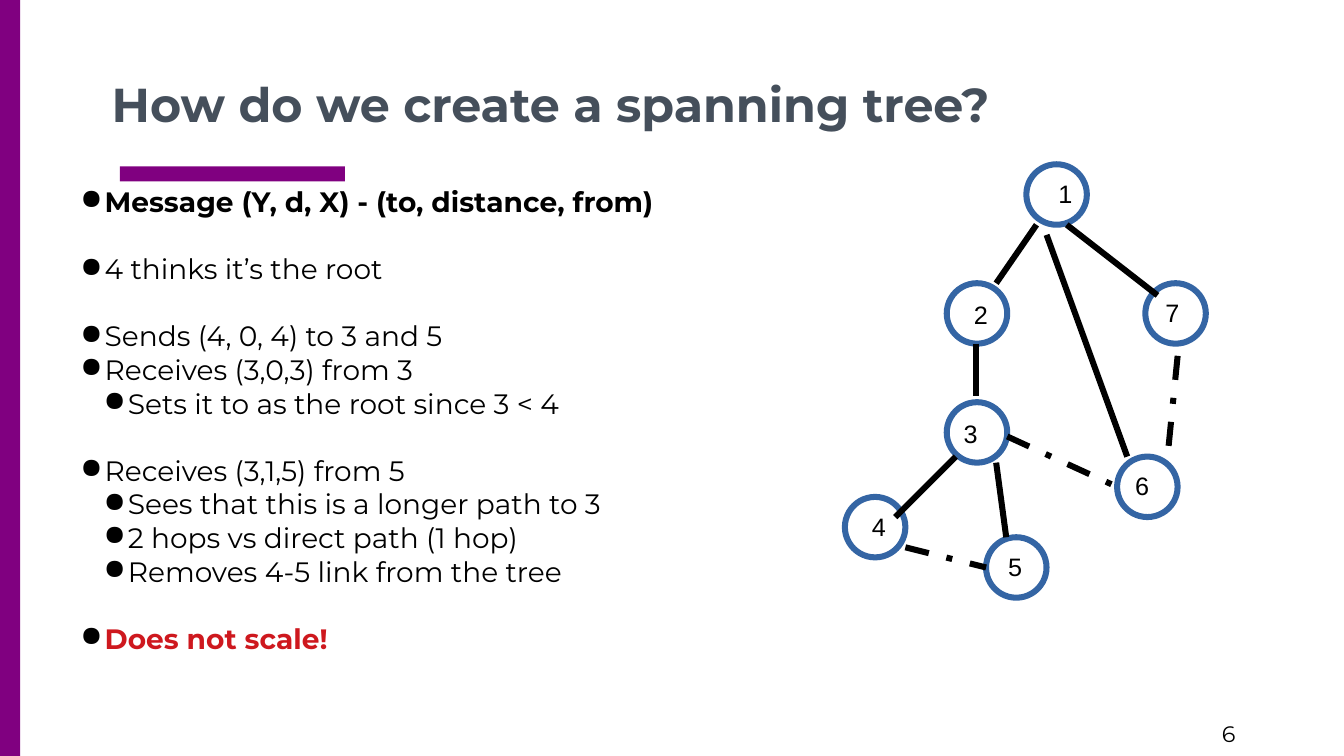
from lxml import etree
from pptx import Presentation
from pptx import util as u
from pptx.dml.color import RGBColor
from pptx.enum import dml, shapes, text
from pptx.oxml.ns import qn

PURPLE = RGBColor(0x80, 0x00, 0x80)
SLATE = RGBColor(0x45, 0x4F, 0x5B)
BLACK = RGBColor(0x00, 0x00, 0x00)
RED = RGBColor(0xCE, 0x18, 0x1E)
BLUE = RGBColor(0x34, 0x65, 0xA4)

# Bullets: text, level, bold, colour, gap after
BULLETS = [
    ("Message (Y, d, X) - (to, distance, from)", 0, True, BLACK, True),
    ("4 thinks it’s the root", 0, False, BLACK, True),
    ("Sends (4, 0, 4) to 3 and 5", 0, False, BLACK, False),
    ("Receives (3,0,3) from 3", 0, False, BLACK, False),
    ("Sets it to as the root since 3 < 4", 1, False, BLACK, True),
    ("Receives (3,1,5) from 5", 0, False, BLACK, False),
    ("Sees that this is a longer path to 3", 1, False, BLACK, False),
    ("2 hops vs direct path (1 hop)", 1, False, BLACK, False),
    ("Removes 4-5 link from the tree", 1, False, BLACK, True),
    ("Does not scale!", 0, True, RED, False),
]

# Nodes: label, circle corner, label corner
NODES = [
    ("1", (10.18, 1.63), (10.4, 1.72)),
    ("2", (9.39, 2.81), (9.56, 2.92)),
    ("3", (9.39, 3.99), (9.46, 4.1)),
    ("4", (8.38, 4.93), (8.55, 5.02)),
    ("5", (9.78, 5.33), (9.9, 5.42)),
    ("6", (11.08, 4.53), (11.16, 4.62)),
    ("7", (11.36, 2.81), (11.46, 2.9)),
]

TREE_LINKS = [
    ((10.28, 2.23), (9.88, 2.81)),   # 1-2
    ((10.58, 2.23), (11.48, 2.93)),  # 1-7
    ((10.38, 2.33), (11.18, 4.53)),  # 1-6
    ((9.68, 3.41), (9.68, 3.93)),    # 2-3
    ((9.48, 4.53), (8.88, 5.13)),    # 3-4
    ((9.88, 4.59), (9.98, 5.33)),    # 3-5
]
REMOVED_LINKS = [
    ((9.99, 4.33), (11.08, 4.83)),   # 3-6
    ((11.68, 3.53), (11.58, 4.53)),  # 7-6
    ((8.98, 5.43), (9.78, 5.63)),    # 4-5
]


class SlideBuilder:
    font = "Montserrat"
    label_font = "Arial"
    line_width = u.Pt(4.31)
    body_size = 20
    body_pitch = u.Pt(24)
    node_size = 0.6

    def __init__(self, slide):
        self.slide = slide

    def bar(self, *box):
        shape = self.slide.shapes.add_shape(
            shapes.MSO_SHAPE.RECTANGLE, *map(u.Inches, box))
        shape.shadow.inherit = False
        shape.fill.solid()
        shape.fill.fore_color.rgb = PURPLE
        shape.line.fill.background()

    def style(self, paragraph, size, color, bold=False, font=None):
        paragraph.font.name = font or self.font
        paragraph.font.size = u.Pt(size)
        paragraph.font.bold = bold
        paragraph.font.color.rgb = color

    def text_box(self, box):
        frame = self.slide.shapes.add_textbox(*map(u.Inches, box)).text_frame
        frame.word_wrap = True
        return frame

    def label(self, words, box, size, color=BLACK, bold=False, font=None):
        frame = self.text_box(box)
        frame.text = words
        self.style(frame.paragraphs[0], size, color, bold, font)
        return frame

    def bullet_list(self, bullets, box):
        frame = self.text_box(box)
        for index, (words, level, bold, color, gap) in enumerate(bullets):
            paragraph = frame.add_paragraph() if index else frame.paragraphs[0]
            paragraph.text = words
            paragraph.level = level
            paragraph.line_spacing = self.body_pitch
            paragraph.space_after = self.body_pitch if gap else u.Pt(0)
            self.style(paragraph, self.body_size, color, bold)
            self.bullet(paragraph, 0.71 + 0.23 * level)

    def bullet(self, paragraph, margin):
        properties = paragraph._p.get_or_add_pPr()
        properties.set("marL", str(u.Inches(margin)))
        properties.set("indent", str(u.Inches(-0.24)))
        bullet_color = etree.SubElement(properties, qn("a:buClr"))
        etree.SubElement(bullet_color, qn("a:srgbClr"), val=str(BLACK))
        etree.SubElement(properties, qn("a:buChar"), char="●")
        # Default run properties come after the bullet
        properties.append(properties.find(qn("a:defRPr")))

    def node(self, words, corner, label_corner):
        size = self.node_size
        circle = self.slide.shapes.add_shape(
            shapes.MSO_SHAPE.OVAL, *map(u.Inches, (*corner, size, size)))
        circle.shadow.inherit = False
        circle.fill.background()
        circle.line.color.rgb = BLUE
        circle.line.width = self.line_width
        self.label(words, (*label_corner, 0.34, 0.38), 18, font=self.label_font)

    def link(self, start, end, dash=None):
        connector = self.slide.shapes.add_connector(
            shapes.MSO_CONNECTOR.STRAIGHT, *map(u.Inches, (*start, *end)))
        connector.line.color.rgb = BLACK
        connector.line.width = self.line_width
        if dash:
            connector.line.dash_style = dash
        etree.SubElement(connector._element.spPr, qn("a:effectLst"))


def main():
    presentation = Presentation()
    presentation.slide_width = u.Inches(13.33)
    presentation.slide_height = u.Inches(7.5)
    builder = SlideBuilder(
        presentation.slides.add_slide(presentation.slide_layouts[6]))

    # Frame: accent bars and page number
    builder.bar(1.19, 1.65, 2.23, 0.15)
    builder.bar(0, 0, 0.2, 7.5)
    builder.label("6", (12.02, 7.1, 1.3, 0.4), 16)

    # Title
    title = builder.label("How do we create a spanning tree?",
                          (1.01, 0, 11.31, 1.41), 34, SLATE, bold=True)
    title.vertical_anchor = text.MSO_ANCHOR.BOTTOM
    title.margin_top = title.margin_bottom = u.Inches(0.1)

    # Explanation
    builder.bullet_list(BULLETS, (0.23, 1.78, 12.37, 5.54))

    # Spanning tree
    for node in NODES:
        builder.node(*node)
    for ends in TREE_LINKS:
        builder.link(*ends)
    for ends in REMOVED_LINKS:
        builder.link(*ends, dash=dml.MSO_LINE.DASH_DOT)

    presentation.save("out.pptx")


if __name__ == "__main__":
    main()
